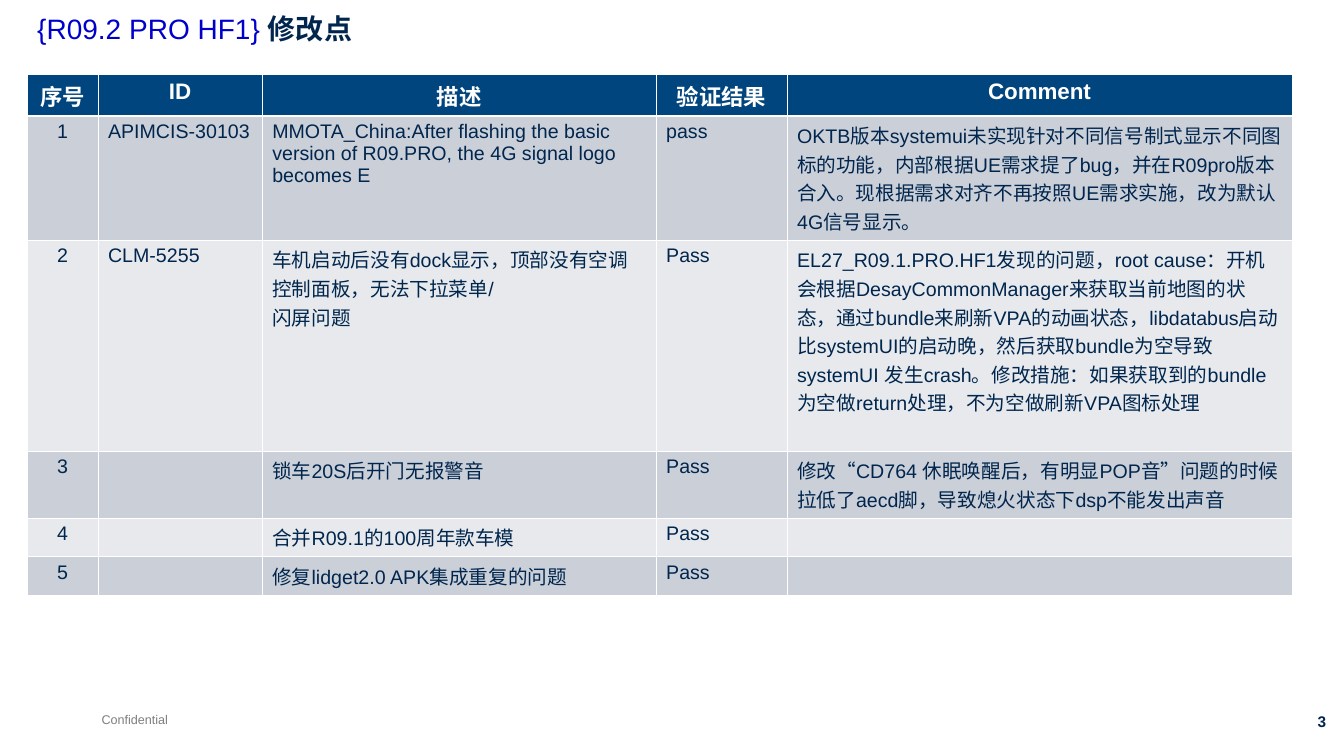
from lxml import etree
from pptx import Presentation
from pptx.dml.color import RGBColor
from pptx.enum.text import PP_ALIGN
from pptx.oxml.ns import qn
from pptx.util import Cm, Pt

LEFT, CENTER, RIGHT = PP_ALIGN.LEFT, PP_ALIGN.CENTER, PP_ALIGN.RIGHT
COLORS = {
    "navy": "00264E",
    "blue": "0000CC",
    "gray": "7F7F7F",
    "white": "FFFFFF",
    "header": "00457E",
    "odd": "CBCFD8",
    "even": "E7E9EC",
}
THIN, THICK = Pt(0.45), Pt(1.47)


def style_font(font, size, color, bold=False):
    font.name = "Arial"
    font.size = Pt(size)
    font.bold = bold
    font.color.rgb = RGBColor.from_string(COLORS[color])


def add_border(cell, side, width):
    """Draw a white line on one side of a cell; call before filling the cell."""
    line = etree.SubElement(cell._tc.get_or_add_tcPr(), qn(f"a:ln{side}"), w=str(width))
    fill = etree.SubElement(line, qn("a:solidFill"))
    etree.SubElement(fill, qn("a:srgbClr"), val=COLORS["white"])


deck = Presentation()
deck.slide_width, deck.slide_height = Cm(33.88), Cm(19.05)
page = deck.slides.add_slide(deck.slide_layouts[6])

# Footer: text, left, width, height, wrap, alignment, size, color, bold
footers = [
    ("Confidential", 2.31, 2.18, 0.64, False, LEFT, 9, "gray", False),
    ("3", 31.29, 2.39, 0.74, True, RIGHT, 11, "navy", True),
]
for text, left, width, height, wrap, alignment, size, color, bold in footers:
    box = page.shapes.add_textbox(Cm(left), Cm(17.81), Cm(width), Cm(height))
    box.text_frame.word_wrap = wrap
    para = box.text_frame.paragraphs[0]
    para.text = text
    para.alignment = alignment
    style_font(para.font, size, color, bold)

# Title
title = page.shapes.add_textbox(Cm(0.69), Cm(0.25), Cm(30.1), Cm(1.6))
title.text_frame.word_wrap = True
para = title.text_frame.paragraphs[0]
para.line_spacing = 0.9
for text, color, bold in [("{R09.2 PRO HF1} ", "blue", False), ("修改点", "navy", True)]:
    span = para.add_run()
    span.text = text
    style_font(span.font, 20, color, bold)

# Table of changes
rows = [
    ("序号", "ID", "描述", "验证结果", "Comment"),
    ("1", "APIMCIS-30103",
     "MMOTA_China:After flashing the basic version of R09.PRO, the 4G signal logo becomes E",
     "pass",
     "OKTB版本systemui未实现针对不同信号制式显示不同图标的功能，内部根据UE需求提了bug，"
     "并在R09pro版本合入。现根据需求对齐不再按照UE需求实施，改为默认4G信号显示。"),
    ("2", "CLM-5255",
     "车机启动后没有dock显示，顶部没有空调控制面板，无法下拉菜单/\n闪屏问题",
     "Pass",
     "EL27_R09.1.PRO.HF1发现的问题，root cause：开机会根据DesayCommonManager来获取当前地图的状态，"
     "通过bundle来刷新VPA的动画状态，libdatabus启动比systemUI的启动晚，"
     "然后获取bundle为空导致systemUI 发生crash。"
     "修改措施：如果获取到的bundle为空做return处理，不为空做刷新VPA图标处理"),
    ("3", "", "锁车20S后开门无报警音", "Pass",
     "修改“CD764 休眠唤醒后，有明显POP音”问题的时候拉低了aecd脚，导致熄火状态下dsp不能发出声音"),
    ("4", "", "合并R09.1的100周年款车模", "Pass", ""),
    ("5", "", "修复lidget2.0 APK集成重复的问题", "Pass", ""),
]
column_widths = [1.78, 4.14, 9.93, 3.3, 12.73]
row_heights = [1.05, 3.13, 5.31, 1.69, 0.97, 0.97]

table = page.shapes.add_table(
    len(rows), len(column_widths), Cm(0.69), Cm(1.87),
    Cm(sum(column_widths)), Cm(sum(row_heights)),
).table
for column, width in zip(table.columns, column_widths):
    column.width = Cm(width)
for row, height in zip(table.rows, row_heights):
    row.height = Cm(height)

for r, texts in enumerate(rows):
    is_header = r == 0
    fill_color = "header" if is_header else ("odd" if r % 2 else "even")
    for c, text in enumerate(texts):
        cell = table.cell(r, c)
        add_border(cell, "L", THIN)
        add_border(cell, "R", THIN)
        add_border(cell, "T", THICK if r == 1 else THIN)
        add_border(cell, "B", THICK if is_header else THIN)
        cell.fill.solid()
        cell.fill.fore_color.rgb = RGBColor.from_string(COLORS[fill_color])
        cell.text = text
        for para in cell.text_frame.paragraphs:
            para.alignment = CENTER if is_header or c == 0 else LEFT
            # Keep punctuation inside the cell margins
            para._p.get_or_add_pPr().set("hangingPunct", "0")
            if is_header:
                style_font(para.font, 16, "white", True)
            else:
                style_font(para.font, 14, "navy")

deck.save("out.pptx")
